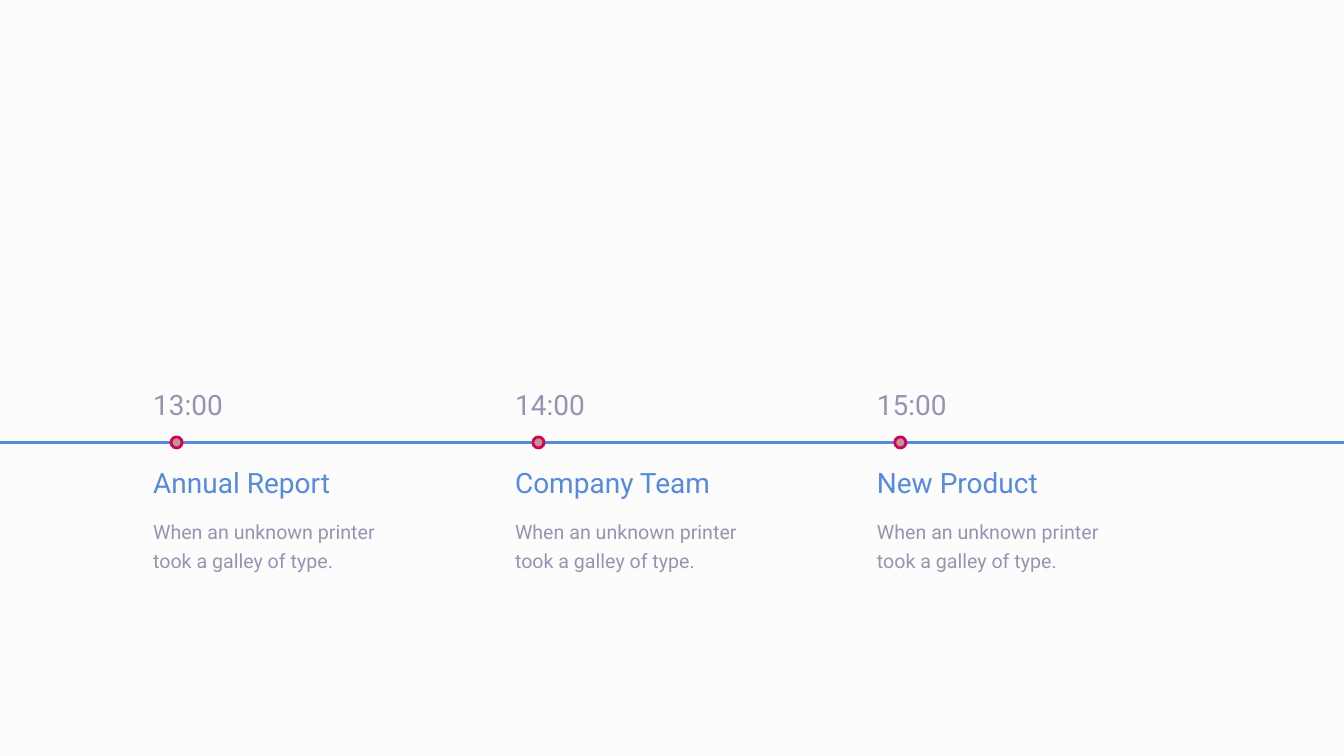
from pptx import Presentation
from pptx.dml.color import RGBColor
from pptx.enum.shapes import MSO_CONNECTOR, MSO_SHAPE
from pptx.enum.text import MSO_AUTO_SIZE
from pptx.oxml.ns import qn
from pptx.util import Cm, Pt
from lxml.etree import SubElement

BLUE, GREY = "568AE0", "9A92B0"
FIRST_LEFT, STEP = 3.73, 9.12
AXIS_Y = 11.15
DOT_SIZE = 0.28

HEADING = {"line_spacing": Pt(17)}
BODY = {"line_spacing": 1.25, "space_before": Pt(10)}

DETAIL = "When an unknown printer took a galley of type."
EVENTS = [
    ("13:00", "Annual Report"),
    ("14:00", "Company Team"),
    ("15:00", "New Product"),
]


def rgb(color):
    return RGBColor.from_string(color)


def set_attributes(target, values):
    for name, value in values.items():
        setattr(target, name, value)


def add_text(shapes, left, top, width, height, paragraphs):
    """Add a text box; each paragraph is (text, size, colour, format)."""
    tf = shapes.add_textbox(Cm(left), Cm(top), Cm(width), Cm(height)).text_frame
    set_attributes(tf, {"word_wrap": True, "auto_size": MSO_AUTO_SIZE.SHAPE_TO_FIT_TEXT})
    for side in ("left", "top", "right", "bottom"):
        setattr(tf, f"margin_{side}", Cm(0.13))
    for i, (text, size, color, fmt) in enumerate(paragraphs):
        p = tf.add_paragraph() if i else tf.paragraphs[0]
        set_attributes(p, fmt)
        r = p.add_run()
        r.text = text
        set_attributes(r.font, {"name": "Roboto", "size": Pt(size)})
        r.font.color.rgb = rgb(color)


def add_dot(shapes, left):
    sp = shapes.add_shape(MSO_SHAPE.OVAL, Cm(left), Cm(AXIS_Y - DOT_SIZE / 2),
                          Cm(DOT_SIZE), Cm(DOT_SIZE))
    sp.shadow.inherit = False
    sp.fill.solid()
    sp.fill.fore_color.rgb = rgb("BD9698")
    sp.line.color.rgb = rgb("D30553")
    sp.line.width = Pt(2)


def add_axis(shapes, width):
    line = shapes.add_connector(MSO_CONNECTOR.STRAIGHT, 0, Cm(AXIS_Y), width, Cm(AXIS_Y))
    line.line.color.rgb = rgb(BLUE)
    line.line.width = Pt(2)
    SubElement(line._element.spPr, qn("a:effectLst"))


def add_event(s, left, time, title):
    shapes = s.shapes.add_group_shape().shapes
    add_text(shapes, left, 11.86, 6.55, 2.64,
             [(title, 20, BLUE, HEADING), (DETAIL, 14, GREY, BODY)])
    add_text(shapes, left, 9.88, 5.13, 0.91, [(time, 20, GREY, HEADING)])
    add_dot(shapes, left + 0.58)


def main():
    prs = Presentation()
    set_attributes(prs, {"slide_width": Cm(33.87), "slide_height": Cm(19.05)})
    s = prs.slides.add_slide(prs.slide_layouts[6])
    s.background.fill.solid()
    s.background.fill.fore_color.rgb = rgb("FCFCFC")
    add_axis(s.shapes, prs.slide_width)
    for i, (time, title) in enumerate(EVENTS):
        add_event(s, FIRST_LEFT + i * STEP, time, title)
    prs.save("out.pptx")


if __name__ == "__main__":
    main()
